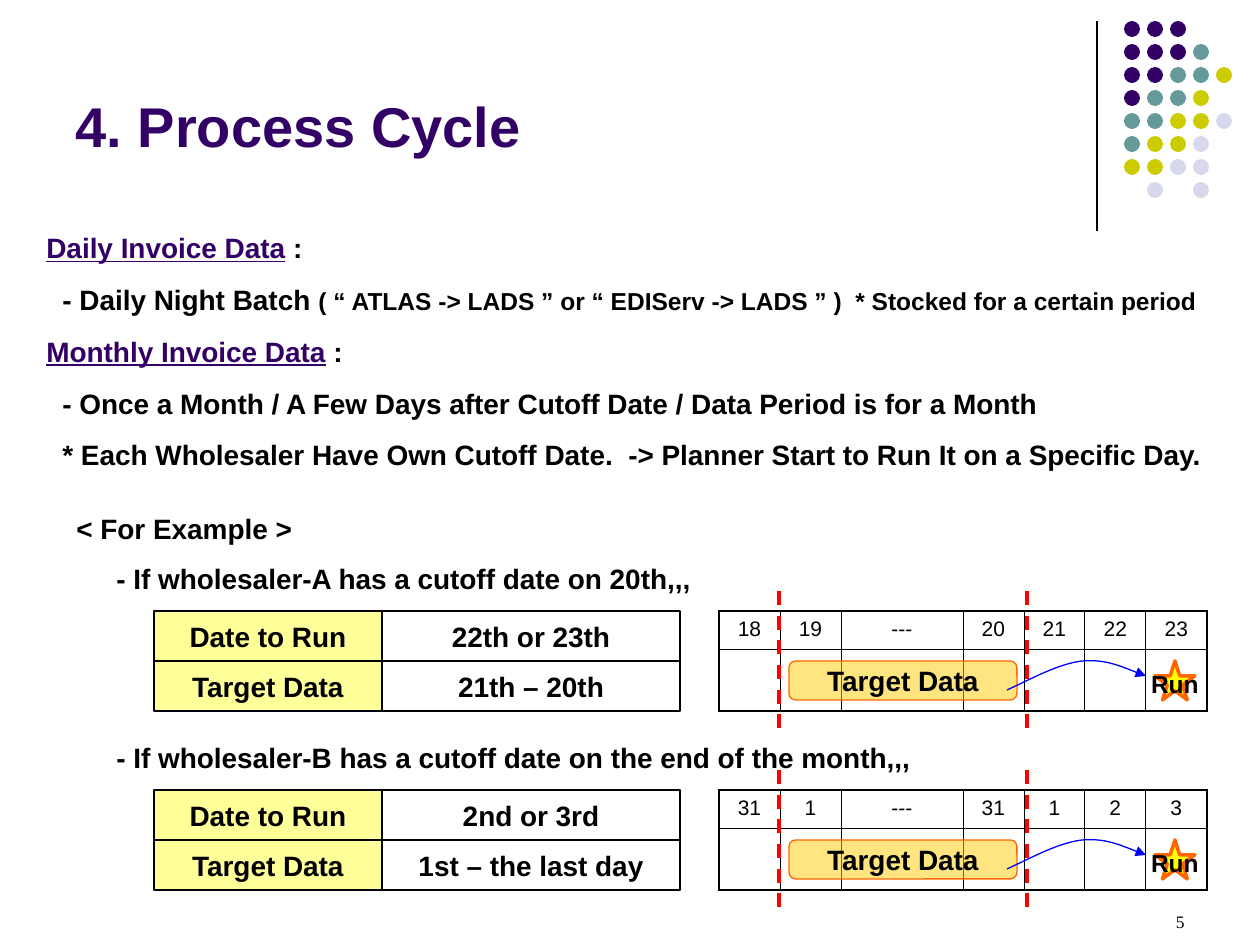
from lxml import etree
from pptx import Presentation
from pptx import util as u
from pptx.dml.color import RGBColor
from pptx.enum import dml, shapes, text
from pptx.oxml.ns import qn

PX = u.Inches(1) / 126
BLACK = RGBColor(0, 0, 0)
WHITE = RGBColor(255, 255, 255)
PURPLE = RGBColor(0x33, 0, 0x66)
TEAL = RGBColor(0x66, 0x99, 0x99)
OLIVE = RGBColor(0xCC, 0xCC, 0)
LILAC = RGBColor(0xD8, 0xD8, 0xEC)
CREAM = RGBColor(0xFF, 0xFF, 0x99)
GOLD = RGBColor(0xFF, 0xCC, 0)
YELLOW = RGBColor(0xFF, 0xFF, 0)
ORANGE = RGBColor(0xFF, 0x66, 0)
RED = RGBColor(0xFF, 0, 0)
BLUE = RGBColor(0, 0, 0xFF)
LEFT, MID, RIGHT = text.PP_ALIGN.LEFT, text.PP_ALIGN.CENTER, text.PP_ALIGN.RIGHT
KIND = shapes.MSO_SHAPE

# Content
TITLE = "4. Process Cycle"
# Each line: indent in px, then runs of (words, size, colour, underline)
BODY = [
    (0, [("Daily Invoice Data", 16, PURPLE, True), (" :", 16, BLACK, False)]),
    (16, [("- Daily Night Batch ", 16, BLACK, False),
          ("( “ ATLAS -> LADS ” or “ EDIServ -> LADS ” )  * Stocked for a certain period",
           14, BLACK, False)]),
    (0, [("Monthly Invoice Data", 16, PURPLE, True), (" :", 16, BLACK, False)]),
    (16, [("- Once a Month / A Few Days after Cutoff Date / Data Period is for a Month",
           16, BLACK, False)]),
    (16, [("* Each Wholesaler Have Own Cutoff Date.  -> Planner Start to Run It on a Specific Day.",
           16, BLACK, False)]),
]
EXAMPLE = "< For Example >"
CASES = [
    ("- If wholesaler-A has a cutoff date on 20th,,,",
     [("Date to Run", "22th or 23th"), ("Target Data", "21th – 20th")],
     ["18", "19", "---", "20", "21", "22", "23"]),
    ("- If wholesaler-B has a cutoff date on the end of the month,,,",
     [("Date to Run", "2nd or 3rd"), ("Target Data", "1st – the last day")],
     ["31", "1", "---", "31", "1", "2", "3"]),
]
DOTS = ["PPP", "PPPT", "PPTTO", "PTTO", "TTOOL", "TOOL", "OOLL", " L L"]
HUES = {"P": PURPLE, "T": TEAL, "O": OLIVE, "L": LILAC}

# Layout in px; parts of a case are placed for the first one
STEP = 179
DAYS = [61, 61, 122, 61, 61, 61, 61]
ROWS = [38, 62]
CURVE = [(1007, 690), (1033, 678), (1058, 664), (1082, 661),
         (1105, 659), (1125, 668), (1146, 676)]

deck = Presentation()
deck.slide_width, deck.slide_height = u.Inches(10), u.Inches(7.5)
slide = deck.slides.add_slide(deck.slide_layouts[5])


def px(*nums):
    return [u.Emu(round(n * PX)) for n in nums]


def style(run, size=16, hue=BLACK, bold=True, face="Arial"):
    font = run.font
    font.size, font.bold, font.name = u.Pt(size), bold, face
    font.color.rgb = hue


def write(para, words, align=LEFT, **look):
    para.text = words
    para.alignment = align
    style(para.runs[0], **look)


def label(words, x, y, w, h, **look):
    frame = slide.shapes.add_textbox(*px(x, y, w, h)).text_frame
    frame.word_wrap = True
    write(frame.paragraphs[0], words, **look)


def shape(kind, x, y, w, h, fill, edge=None, width=0.75, words="", size=16):
    item = slide.shapes.add_shape(kind, *px(x, y, w, h))
    item.shadow.inherit = False
    item.fill.solid()
    item.fill.fore_color.rgb = fill
    if edge is None:
        item.line.fill.background()
    else:
        item.line.color.rgb, item.line.width = edge, u.Pt(width)
    if words:
        frame = item.text_frame
        frame.word_wrap = False
        frame.vertical_anchor = text.MSO_ANCHOR.MIDDLE
        write(frame.paragraphs[0], words, MID, size=size)
    return item


def rule(x, top, end, hue, width):
    line = slide.shapes.add_connector(shapes.MSO_CONNECTOR.STRAIGHT, *px(x, top, x, end))
    line.line.color.rgb, line.line.width = hue, u.Pt(width)
    etree.SubElement(line._element.spPr, qn("a:effectLst"))
    return line


def border(cell, side, width):
    line = etree.SubElement(cell._tc.get_or_add_tcPr(), qn("a:ln" + side), w=str(u.Pt(width)))
    fill = etree.SubElement(line, qn("a:solidFill"))
    etree.SubElement(fill, qn("a:srgbClr"), val=str(BLACK))


def calendar(days, y):
    table = slide.shapes.add_table(
        2, len(days), *px(719, y, sum(DAYS), sum(ROWS))).table
    table.first_row = table.horz_banding = False
    for col, size in zip(table.columns, px(*DAYS)):
        col.width = size
    for row, size in zip(table.rows, px(*ROWS)):
        row.height = size
    for r in range(2):
        for c, day in enumerate(days):
            cell = table.cell(r, c)
            outer = {"L": c == 0, "R": c == len(days) - 1, "T": r == 0, "B": r == 1}
            for side, thick in outer.items():
                border(cell, side, 1.08 if thick else 0.45)
            cell.fill.background()
            if r == 0:
                write(cell.text_frame.paragraphs[0], day, MID, size=12, bold=False)


def arrow(dy):
    pts = [(x, y + dy) for x, y in CURVE]
    pen = slide.shapes.build_freeform(*pts[0], scale=PX)
    pen.add_line_segments(pts[1:], close=False)
    item = pen.convert_to_shape()
    item.shadow.inherit = False
    item.fill.background()
    item.line.color.rgb, item.line.width = BLUE, u.Pt(0.75)
    etree.SubElement(item.line._get_or_add_ln(), qn("a:tailEnd"), type="triangle")
    # Every three straight segments become one Bezier curve
    legs = item._element.xpath(".//a:lnTo")
    for i in range(0, len(legs), 3):
        bend = etree.Element(qn("a:cubicBezTo"))
        legs[i].addprevious(bend)
        for leg in legs[i:i + 3]:
            bend.append(leg[0])
            leg.getparent().remove(leg)


# Corner rule and dots
rule(1097, 21, 231, BLACK, 0.75)
for r, line in enumerate(DOTS):
    for c, key in enumerate(line):
        if key in HUES:
            shape(KIND.OVAL, 1124 + 23 * c, 21 + 23 * r, 16, 16, HUES[key])

# Title
head = slide.shapes.title
head.left, head.top, head.width, head.height = px(63, 55, 1040, 140)
head.text_frame.auto_size = text.MSO_AUTO_SIZE.NONE
head.text_frame.vertical_anchor = text.MSO_ANCHOR.MIDDLE
write(head.text_frame.paragraphs[0], TITLE, size=32, hue=PURPLE)

# Body text
frame = slide.shapes.add_textbox(*px(34, 224, 1201, 248)).text_frame
frame.word_wrap = True
for i, (indent, runs) in enumerate(BODY):
    para = frame.add_paragraph() if i else frame.paragraphs[0]
    if i:
        para.space_before = u.Pt(10.5)
    if indent:
        para._p.get_or_add_pPr().set("marL", str(px(indent)[0]))
    for words, size, hue, under in runs:
        run = para.add_run()
        run.text = words
        style(run, size, hue)
        run.font.underline = under
label(EXAMPLE, 64, 505, 595, 47)

# Two cases: heading, boxes, calendar and its marks
for i, (name, pairs, days) in enumerate(CASES):
    dy = i * STEP
    label(name, 104, 555 + dy, 860, 47)
    for r, (key, value) in enumerate(pairs):
        top = 611 + dy + 50 * r
        shape(KIND.RECTANGLE, 154, top, 228, 50, CREAM, BLACK, words=key)
        shape(KIND.RECTANGLE, 382, top, 298, 50, WHITE, BLACK, words=value)
    calendar(days, 611 + dy)
    span = shape(KIND.ROUNDED_RECTANGLE, 789, 661 + dy, 228, 39, GOLD, ORANGE,
                 words="Target Data")
    tint = span._element.spPr.find(qn("a:solidFill"))[0]
    etree.SubElement(tint, qn("a:alpha"), val="50000")
    for x in (779, 1027):
        rule(x, 591 + dy, 731 + dy, RED, 2).line.dash_style = dml.MSO_LINE.DASH
    shape(KIND.STAR_5_POINT, 1155, 661 + dy, 40, 39, YELLOW, ORANGE, 2, "Run", 14)
    arrow(dy)

# Page number
label("5", 903, 905, 294, 35, align=RIGHT, size=10, bold=False, face="Times New Roman")

deck.save("out.pptx")
